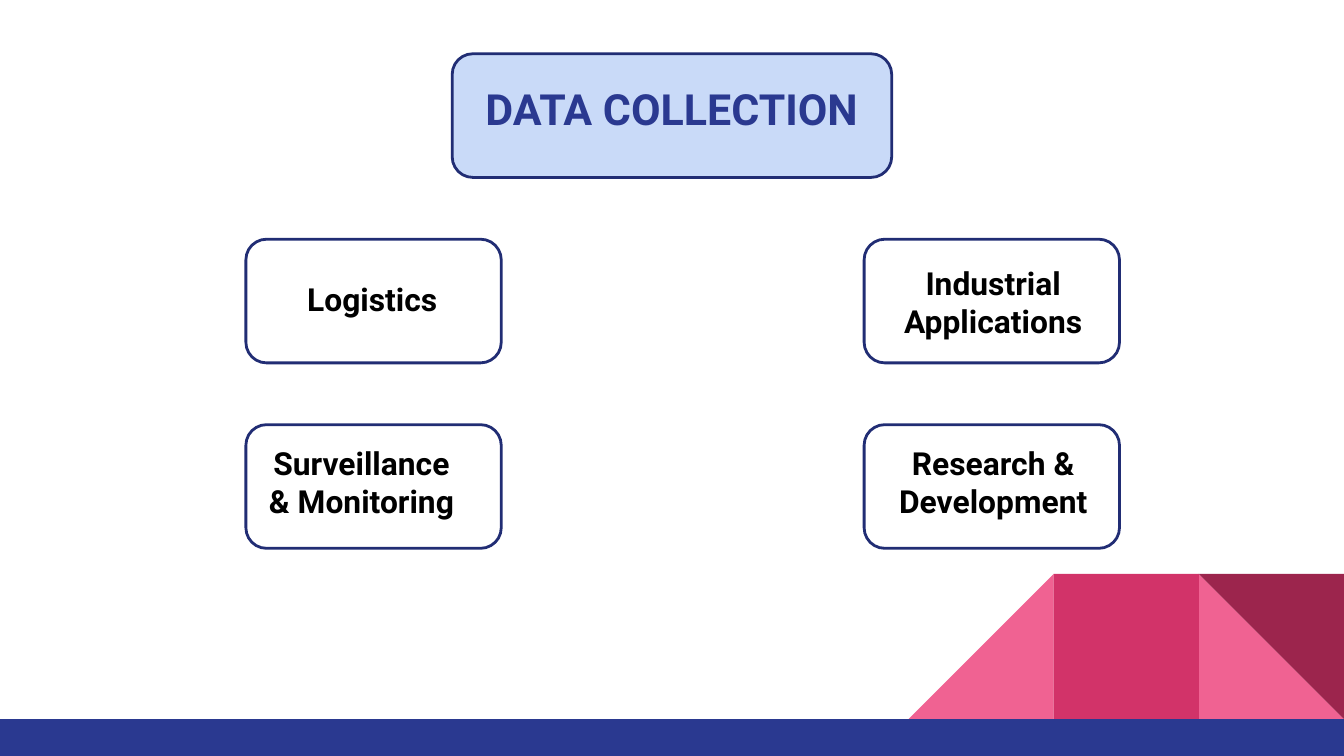
from pptx import Presentation
from pptx.dml.color import RGBColor
from pptx.enum.shapes import MSO_SHAPE
from pptx.enum.text import MSO_ANCHOR, PP_ALIGN
from pptx.util import Inches, Pt

RECT = MSO_SHAPE.RECTANGLE
TRI = MSO_SHAPE.RIGHT_TRIANGLE
CARD = MSO_SHAPE.FLOWCHART_ALTERNATE_PROCESS
MID, TOP = MSO_ANCHOR.MIDDLE, MSO_ANCHOR.TOP
CENTER = PP_ALIGN.CENTER

# Content
TITLE = "DATA COLLECTION"
# text, column, row, label offset from its card, label size
TOPICS = [
    ("Surveillance & Monitoring", 0, 2, (0, 0.04), (1.72, 0.77)),
    ("Logistics", 0, 1, (0.34, 0.2), (1.2, 0.49)),
    ("Research & Development", 1, 2, (0.1, 0.04), (1.72, 0.77)),
    ("Industrial Applications", 1, 1, (0.1, 0.08), (1.72, 0.77)),
]
# shape, column from the right edge, rotation, colour
TILES = [
    (TRI, 1, 0, "pink"),
    (TRI, 3, 270, "pink"),
    (RECT, 2, 0, "rose"),
    (TRI, 1, 180, "wine"),
]
HEX = {
    "pink": "F06292", "rose": "D23369", "wine": "9C254D",
    "blue": "2A3990", "edge": "212D74", "pale": "C9DAF8",
    "white": "FFFFFF", "black": "000000",
}

# Grid, in inches
WIDE = 10
HIGH = WIDE * 9 / 16
LEFT, COL = 1.83, 4.6
HEAD, ROW = 0.4, 1.38
CARD_W, CARD_H = 1.9, 0.92
TITLE_W = 3.27
TILE, FLOOR = 1.08, 5.35
PAD = 0.1


def color(name):
    return RGBColor.from_string(HEX[name])


def draw(kind, x, y, w, h, fill, edge=None):
    shape = slide.shapes.add_shape(kind, *map(Inches, (x, y, w, h)))
    shape.shadow.inherit = False
    shape.fill.solid()
    shape.fill.fore_color.rgb = color(fill)
    if edge:
        shape.line.color.rgb = color(edge)
        shape.line.width = Pt(1.5)
    else:
        shape.line.fill.background()
    return shape


def write(shape, text, size, ink, anchor, foot=PAD):
    frame = shape.text_frame
    frame.word_wrap = True
    frame.vertical_anchor = anchor
    frame.margin_left = frame.margin_right = frame.margin_top = Inches(PAD)
    frame.margin_bottom = Inches(foot)
    frame.text = text
    para = frame.paragraphs[0]
    para.alignment = CENTER
    font = para.runs[0].font
    font.name, font.size, font.bold = "Roboto", Pt(size), True
    font.color.rgb = color(ink)


deck = Presentation()
deck.slide_width, deck.slide_height = Inches(WIDE), Inches(HIGH)
slide = deck.slides.add_slide(deck.slide_layouts[6])

# Corner tiles and floor band
for kind, col, turn, fill in TILES:
    tile = draw(kind, WIDE - col * TILE, FLOOR - TILE, TILE, TILE, fill)
    tile.rotation = turn
draw(RECT, 0, FLOOR, WIDE, HIGH - FLOOR, "blue")

# Topic cards
for text, col, row, shift, size in TOPICS:
    x, y = LEFT + col * COL, HEAD + row * ROW
    draw(CARD, x, y, CARD_W, CARD_H, "white", "edge")

# Title card, its text a little above the middle
title = draw(CARD, (WIDE - TITLE_W) / 2, HEAD, TITLE_W, CARD_H, "pale", "edge")
write(title, TITLE, 23, "blue", MID, foot=0.21)

# Topic labels, set over their cards
for text, col, row, (dx, dy), size in TOPICS:
    x, y = LEFT + col * COL + dx, HEAD + row * ROW + dy
    label = slide.shapes.add_textbox(*map(Inches, (x, y, *size)))
    write(label, text, 17, "black", TOP)

deck.save("out.pptx")
